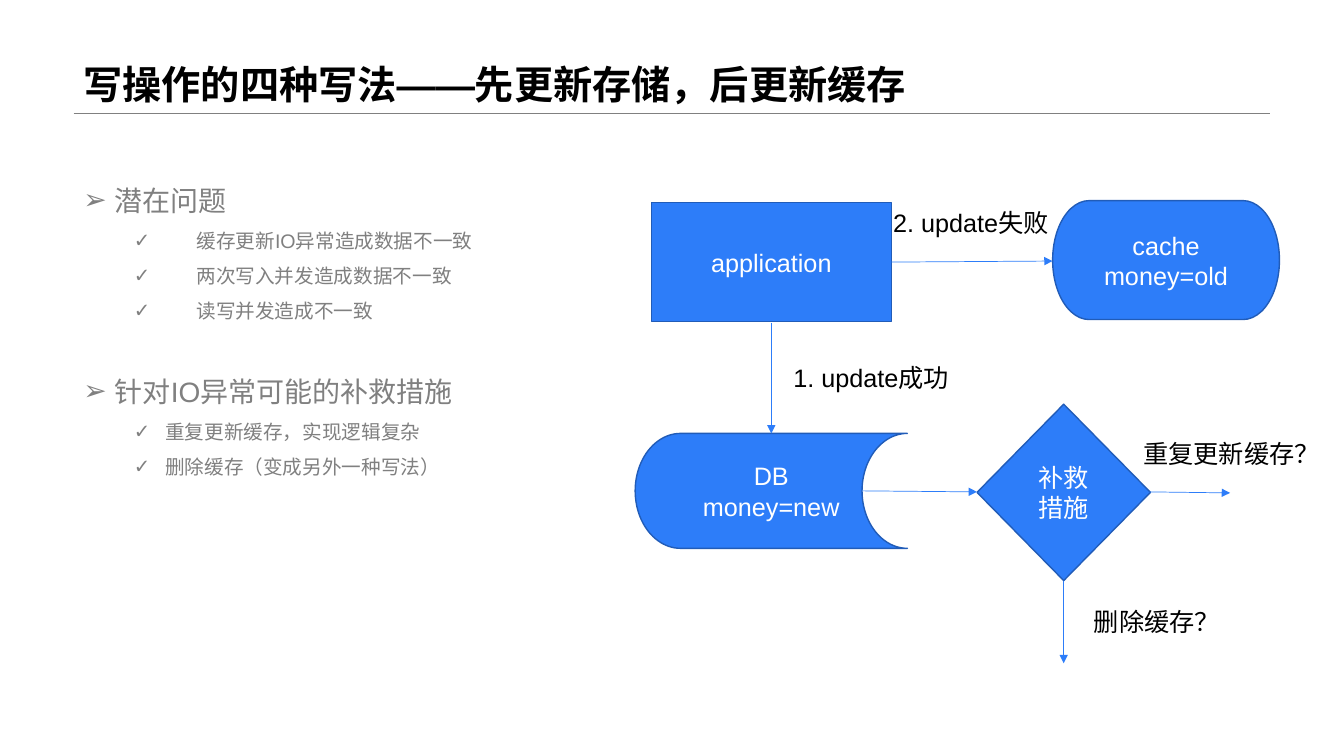
import pptx
import pptx.dml.color
import pptx.enum.shapes
import pptx.enum.text
import pptx.oxml.ns
import pptx.util
import lxml.etree

Inches = pptx.util.Inches
Pt = pptx.util.Pt
Preset = pptx.enum.shapes.MSO_SHAPE
Anchor = pptx.enum.text.MSO_ANCHOR
Align = pptx.enum.text.PP_ALIGN

FONT = "Arial"
BLUE, EDGE, GRAY, BLACK, WHITE = "2D7DF9", "215CB8", "808080", "000000", "FFFFFF"

TITLE = "写操作的四种写法——先更新存储，后更新缓存"
TITLE_AREA = (0.73, 0, 11.87, 1.12)
TITLE_RULE = ((0.73, 1.12), (12.6, 1.12))

NOTES_AREA = (0.73, 1.65, 5.37, 4.41)
NOTES = [
    ("潜在问题", 1.12, 0.62,
     ["缓存更新IO异常造成数据不一致", "两次写入并发造成数据不一致", "读写并发造成不一致"]),
    ("针对IO异常可能的补救措施", 0.81, 0.31,
     ["重复更新缓存，实现逻辑复杂", "删除缓存（变成另外一种写法）"]),
]
SECTION_GAP = 25

NODES = [
    (Preset.RECTANGLE, (6.46, 2.01, 2.38, 1.18), ["application"]),
    (Preset.FLOWCHART_STORED_DATA, (6.3, 4.3, 2.7, 1.14), ["DB", "money=new"]),
    (Preset.FLOWCHART_TERMINATOR, (10.44, 1.99, 2.25, 1.18), ["cache", "money=old"]),
    (Preset.FLOWCHART_DECISION, (9.69, 4.01, 1.72, 1.75), ["补救措施"]),
]
ARROWS = [
    ((8.84, 2.6), (10.44, 2.59)),
    ((7.65, 3.2), (7.65, 4.3)),
    ((8.55, 4.87), (9.69, 4.88)),
    ((11.4, 4.88), (12.2, 4.89)),
    ((10.55, 5.76), (10.55, 6.58)),
]
LABELS = [
    ("2. update失败", (8.76, 2.01, 1.74, 0.4), True),
    ("1. update成功", (7.77, 3.55, 1.74, 0.4), True),
    ("重复更新缓存？", (11.24, 4.3, 1.95, 0.4), False),
    ("删除缓存？", (10.75, 5.97, 1.45, 0.4), False),
]


def color(value):
    return pptx.dml.color.RGBColor.from_string(value)


def add_element(parent, tag, **attributes):
    return lxml.etree.SubElement(parent, pptx.oxml.ns.qn(tag), attributes)


def style_paragraph(para, size, ink, bold=False):
    for span in para.runs:
        span.font.name = FONT
        span.font.size = Pt(size)
        span.font.bold = bold
        span.font.color.rgb = color(ink)
        add_element(span.font._element, "a:ea", typeface=FONT)


def add_text(page, text, area, size, ink, wrap=True, bold=False):
    box = page.shapes.add_textbox(*map(Inches, area))
    box.text_frame.word_wrap = wrap
    box.text_frame.text = text
    style_paragraph(box.text_frame.paragraphs[0], size, ink, bold)
    return box


def add_line(page, start, end, ink, width, arrow=False):
    line = page.shapes.add_connector(
        pptx.enum.shapes.MSO_CONNECTOR.STRAIGHT, *map(Inches, start + end))
    line.line.color.rgb = color(ink)
    line.line.width = Pt(width)
    if arrow:
        add_element(line.line._get_or_add_ln(), "a:tailEnd", type="triangle")
    add_element(line._element.spPr, "a:effectLst")


def add_node(page, preset, area, lines):
    node = page.shapes.add_shape(preset, *map(Inches, area))
    node.shadow.inherit = False
    node.fill.solid()
    node.fill.fore_color.rgb = color(BLUE)
    node.line.color.rgb = color(EDGE)
    node.line.width = Pt(1)
    frame = node.text_frame
    frame.word_wrap = True
    frame.vertical_anchor = Anchor.MIDDLE
    frame.text = "\n".join(lines)
    for para in frame.paragraphs:
        para.alignment = Align.CENTER
        style_paragraph(para, 18, WHITE)


def format_bullet(para, symbol, left, hanging, size):
    properties = para._p.get_or_add_pPr()
    properties.set("marL", str(Inches(left)))
    properties.set("indent", str(-Inches(hanging)))
    add_element(properties, "a:buFont", typeface=FONT)
    add_element(properties, "a:buChar", char=symbol)
    para.line_spacing = 1.5
    style_paragraph(para, size, GRAY)


def add_notes(page):
    box = page.shapes.add_textbox(*map(Inches, NOTES_AREA))
    frame = box.text_frame
    frame.word_wrap = True
    frame.margin_top = 0
    frame.text = "\n".join(
        line for heading, _, _, points in NOTES for line in [heading] + points)
    paragraphs = iter(frame.paragraphs)
    for index, (_, left, hanging, points) in enumerate(NOTES):
        heading = next(paragraphs)
        format_bullet(heading, "➢", 0.31, 0.31, 20)
        if index:
            heading.space_before = Pt(SECTION_GAP)
        for _ in points:
            format_bullet(next(paragraphs), "✓", left, hanging, 14)


def main():
    deck = pptx.Presentation()
    deck.slide_width, deck.slide_height = Inches(13.33), Inches(7.5)
    page = deck.slides.add_slide(deck.slide_layouts[6])
    add_line(page, *TITLE_RULE, GRAY, 0.25)
    title = add_text(page, TITLE, TITLE_AREA, 28, BLACK, bold=True)
    title.text_frame.vertical_anchor = Anchor.BOTTOM
    title.text_frame.paragraphs[0].line_spacing = 0.9
    for node in NODES:
        add_node(page, *node)
    for start, end in ARROWS:
        add_line(page, start, end, BLUE, 0.5, arrow=True)
    for text, area, wrap in LABELS:
        add_text(page, text, area, 18, BLACK, wrap)
    add_notes(page)
    deck.save("out.pptx")


if __name__ == "__main__":
    main()
